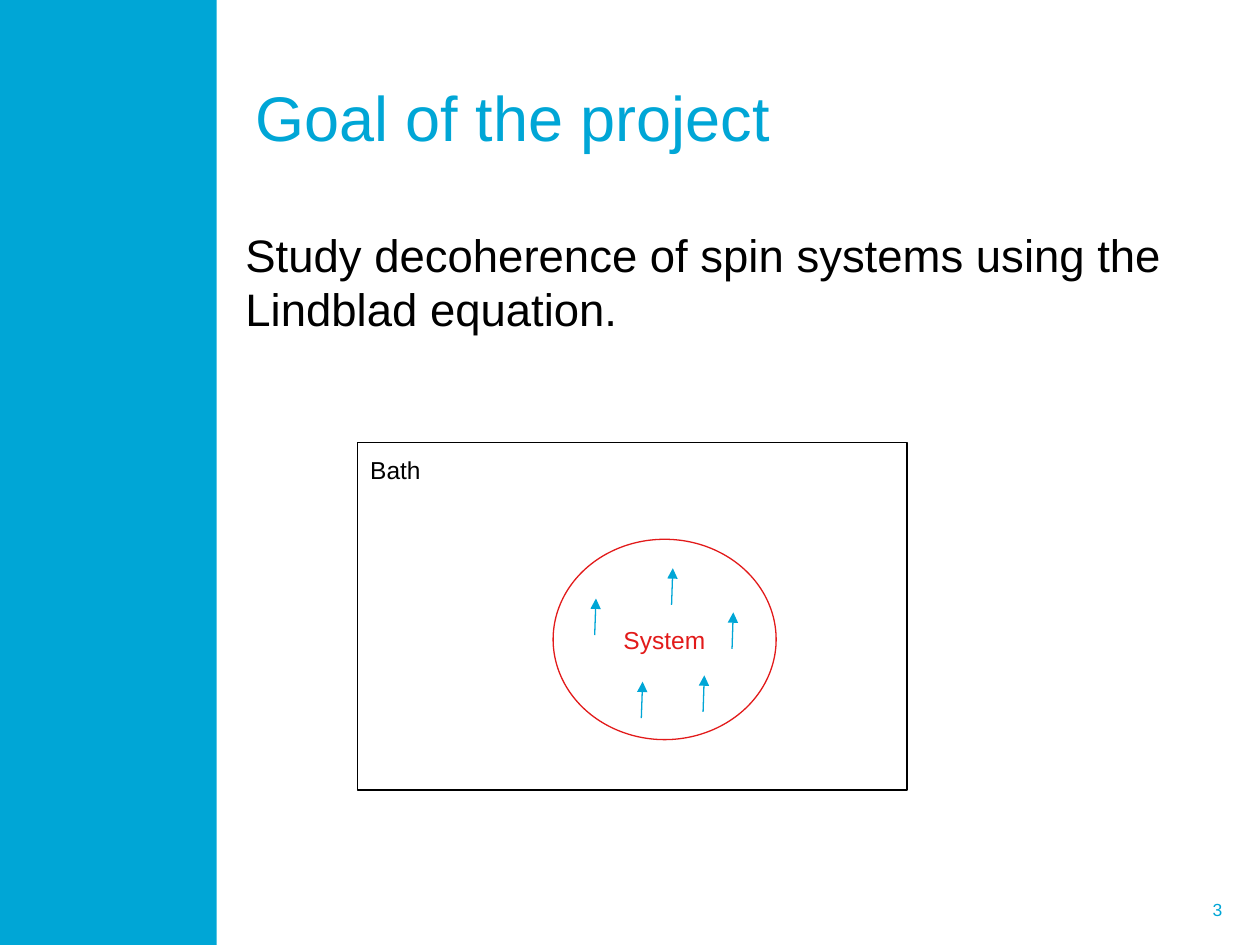
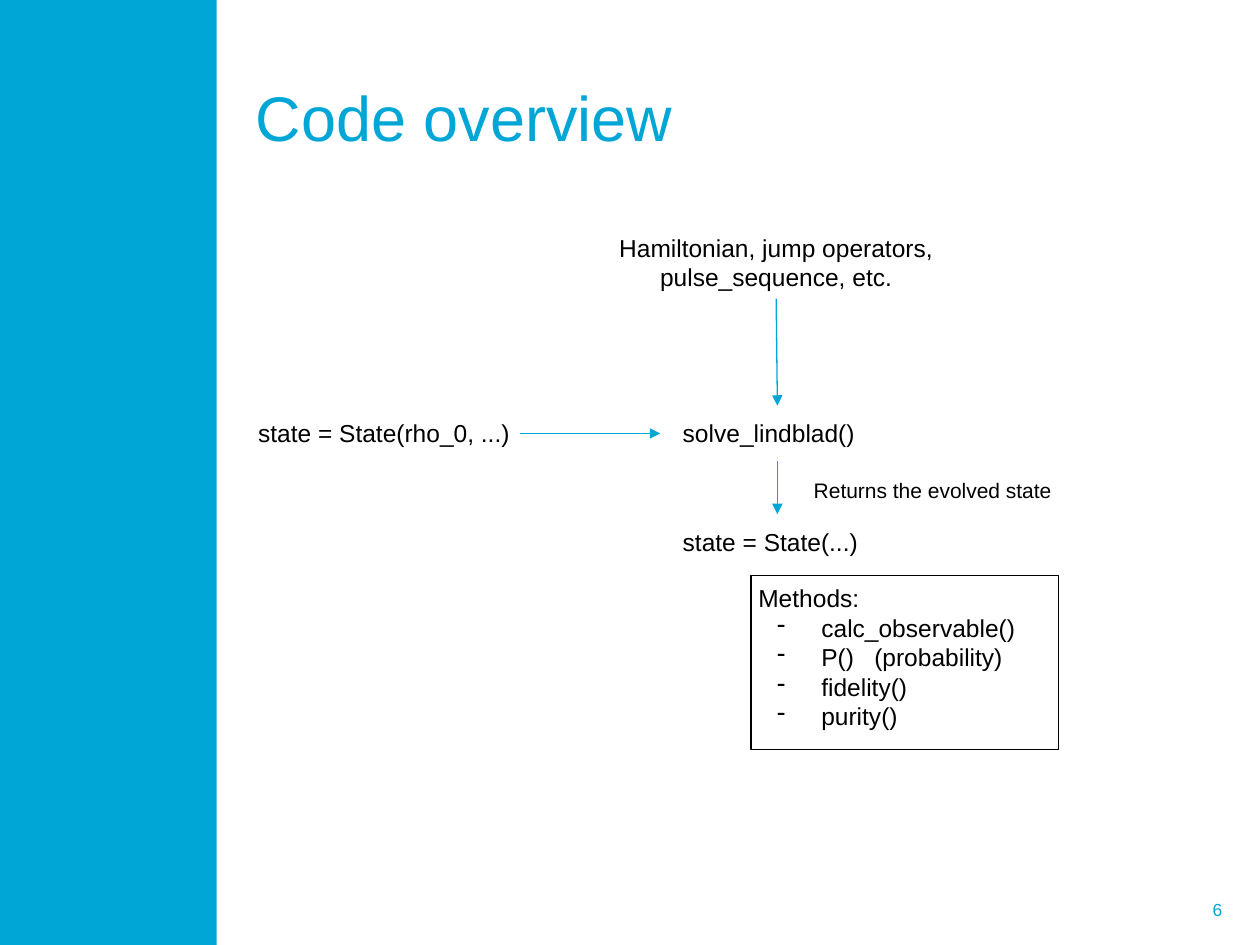
from lxml import etree
from pptx import Presentation
from pptx.dml.color import RGBColor
from pptx.enum import shapes, text
from pptx.oxml import ns
from pptx.util import Inches, Pt

CYAN = RGBColor(0x00, 0xA6, 0xD6)
RED = RGBColor(0xE2, 0x1A, 0x1A)
BLACK = RGBColor(0, 0, 0)
WHITE = RGBColor(255, 255, 255)
RECT = shapes.MSO_SHAPE.RECTANGLE
OVAL = shapes.MSO_SHAPE.OVAL
RIGHT = text.PP_ALIGN.RIGHT
CENTER = text.PP_ALIGN.CENTER
MIDDLE = text.MSO_ANCHOR.MIDDLE


class Deck:
    """Holds the shared style and the current slide, and draws each kind of element."""

    def __init__(self):
        self.prs = Presentation()
        self.prs.slide_width, self.prs.slide_height = Inches(10), Inches(7.5)
        self.slide = None

    def page(self, title, number):
        self.slide = self.prs.slides.add_slide(self.prs.slide_layouts[6])
        self.shape(RECT, (0, 0, 1.72, 7.5), fill=CYAN)
        self.label((7.27, 7.02, 2.53, 0.4), str(number), 10, CYAN, RIGHT, MIDDLE, 0.05)
        self.label((1.93, 0.3, 7.77, 1.25), title, 36, CYAN, anchor=MIDDLE, pad=0.05)

    def shape(self, kind, box, fill=None, line=None):
        item = self.slide.shapes.add_shape(kind, *map(Inches, box))
        item.shadow.inherit = False
        if fill is None:
            item.fill.background()
        else:
            item.fill.solid()
            item.fill.fore_color.rgb = fill
        if line is None:
            item.line.fill.background()
        else:
            item.line.color.rgb = line
            item.line.width = Pt(0.75)

    def label(self, box, words, size=14, color=BLACK, align=None, anchor=None, pad=0.1):
        frame = self.slide.shapes.add_textbox(*map(Inches, box)).text_frame
        frame.word_wrap = True
        frame.margin_left = frame.margin_right = Inches(0.1)
        frame.margin_top = frame.margin_bottom = Inches(pad)
        frame.vertical_anchor = anchor
        frame.text = words
        for para in frame.paragraphs:
            para.alignment = align
            para.font.name = "Arial"
            para.font.size = Pt(size)
            para.font.color.rgb = color
        return frame

    def bullets(self, paras, tab):
        for para in paras:
            props = para._p.get_or_add_pPr()
            props.set("marL", str(Inches(0.5)))
            props.set("indent", str(Inches(-0.35)))
            mark = etree.Element(ns.qn("a:buChar"), char="-")
            stops = etree.Element(ns.qn("a:tabLst"))
            etree.SubElement(stops, ns.qn("a:tab"), pos=str(Inches(tab)), algn="l")
            props[0].addprevious(mark)
            mark.addnext(stops)

    def arrow(self, *ends):
        link = self.slide.shapes.add_connector(
            shapes.MSO_CONNECTOR.STRAIGHT, *map(Inches, ends))
        link.line.color.rgb = CYAN
        link.line.width = Pt(0.75)
        etree.SubElement(link.line._get_or_add_ln(), ns.qn("a:tailEnd"), type="triangle")
        etree.SubElement(link._element.spPr, ns.qn("a:effectLst"))


def goal(deck):
    deck.page("Goal of the project", 3)
    body = deck.label(
        (1.85, 1.75, 7.77, 5.08),
        "Study decoherence of spin systems using the Lindblad equation.", 26, pad=0.05)
    body.paragraphs[0].space_before = Pt(3.6)
    deck.shape(RECT, (2.84, 3.51, 4.36, 2.76), WHITE, BLACK)
    deck.shape(OVAL, (4.39, 4.28, 1.77, 1.59), WHITE, RED)
    deck.label((2.84, 3.51, 0.83, 0.44), "Bath")
    deck.label((4.85, 4.86, 1.24, 0.44), "System", color=RED)
    for x, y in ((5.09, 5.7), (5.58, 5.65), (5.33, 4.8), (4.72, 5.04), (5.81, 5.15)):
        deck.arrow(x, y, x + 0.01, y - 0.29)


def code(deck):
    deck.page("Code overview", 6)
    deck.label((1.95, 3.22, 2.48, 0.44), "state = State(rho_0, ...)")
    deck.label((5.32, 3.22, 1.68, 0.44), "solve_lindblad()")
    deck.arrow(4.13, 3.44, 5.24, 3.44)
    deck.label((6.36, 3.69, 2.69, 0.4), "Returns the evolved state", 12)
    deck.label((5.32, 4.08, 1.68, 0.44), "state = State(...)")
    deck.arrow(6.17, 3.66, 6.17, 4.08)
    calls = ("Methods:", "calc_observable()", "P()\t(probability)", "fidelity()", "purity()")
    frame = deck.label((5.92, 4.53, 2.48, 1.38), "\n".join(calls))
    deck.bullets(frame.paragraphs[1:], 0.92)
    deck.shape(RECT, (5.96, 4.57, 2.44, 1.38), line=BLACK)
    deck.arrow(6.16, 2.37, 6.17, 3.22)
    deck.label((4.25, 1.75, 3.82, 0.67),
               "Hamiltonian, jump operators, pulse_sequence, etc.", align=CENTER)


def main():
    deck = Deck()
    goal(deck)
    code(deck)
    deck.prs.save("out.pptx")


if __name__ == "__main__":
    main()
